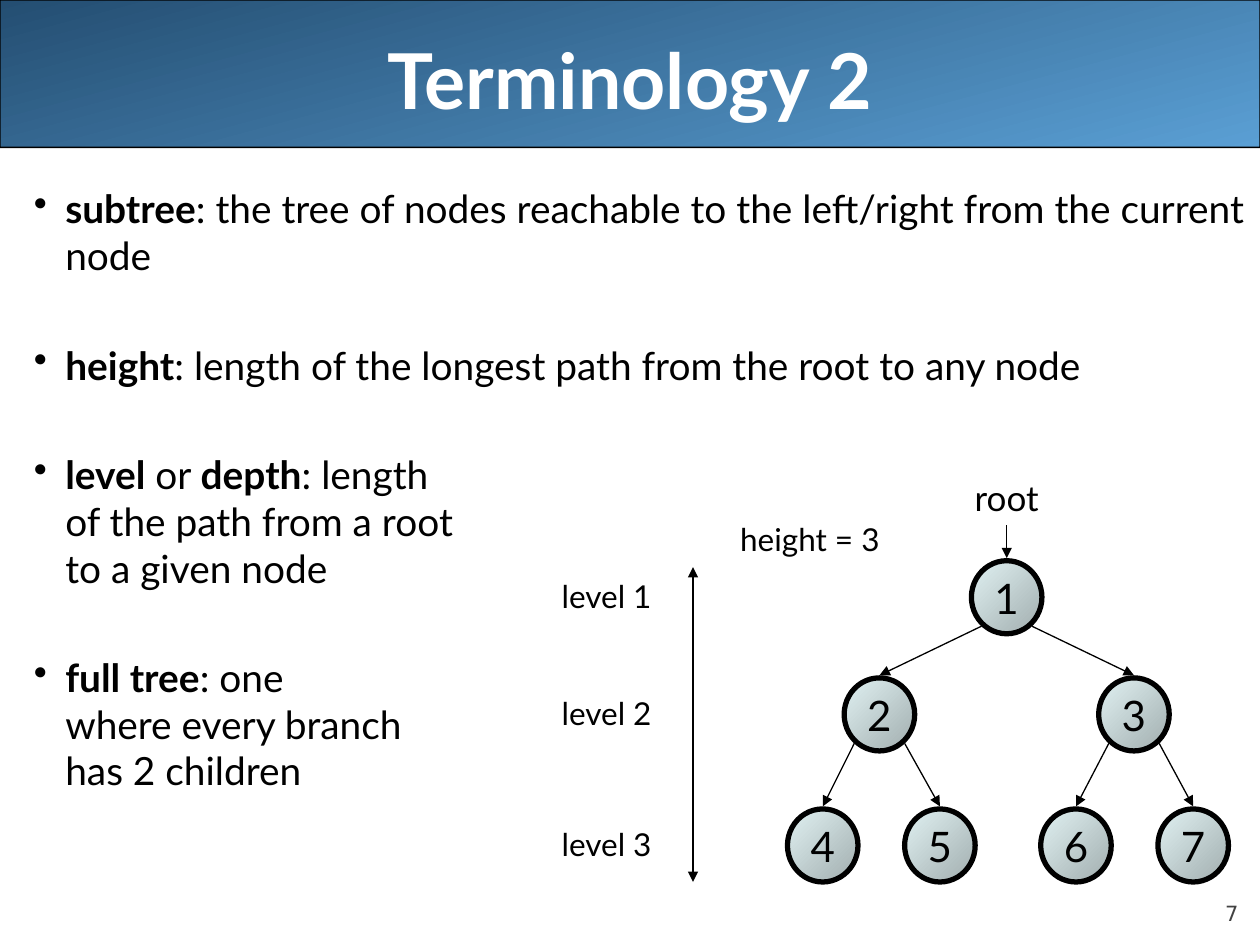
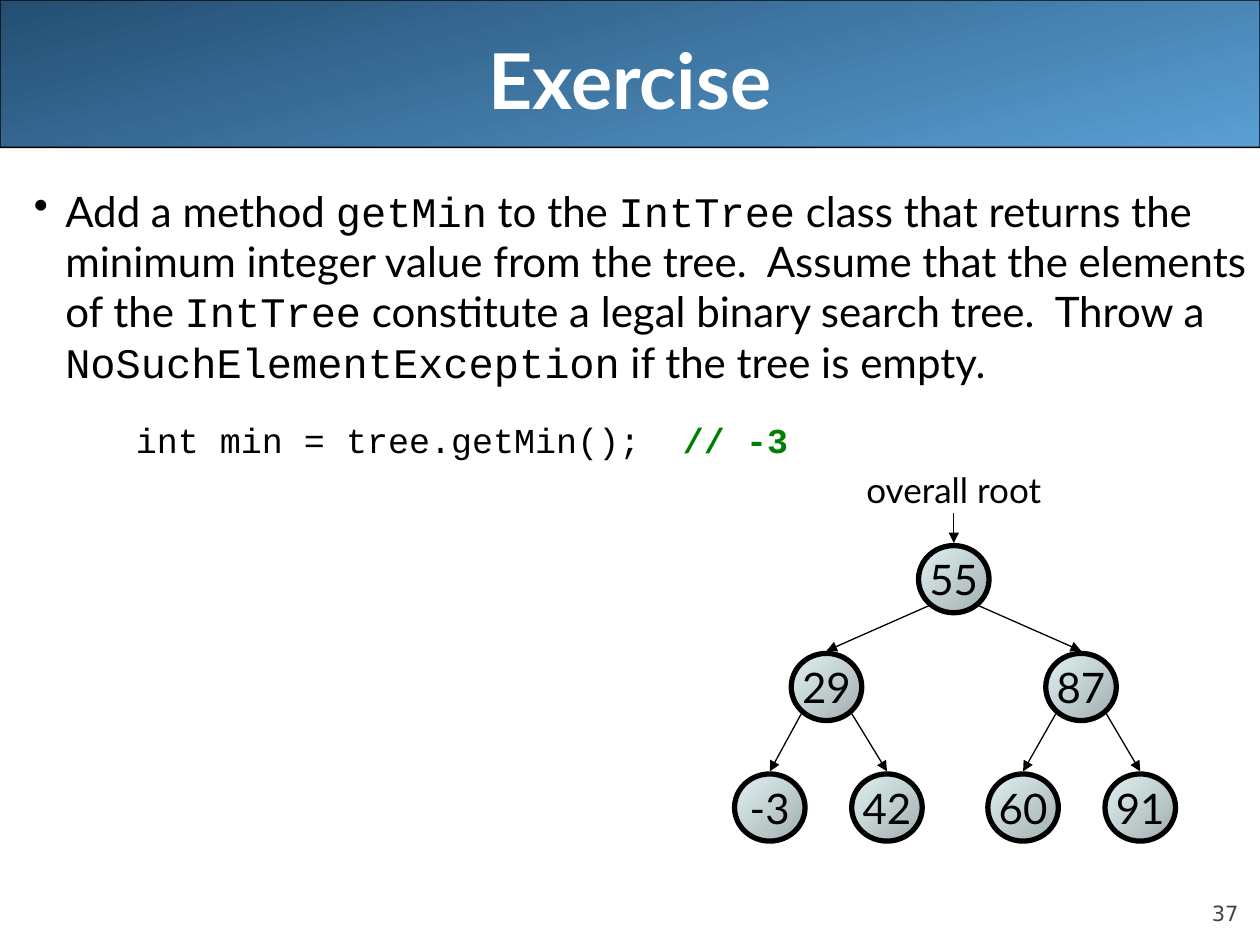
import pptx
import pptx.dml.color
import pptx.enum.shapes
import pptx.enum.text
import pptx.oxml
import pptx.oxml.ns
import pptx.util
from pptx.util import Inches

SHAPE = pptx.enum.shapes.MSO_SHAPE
ALIGN = pptx.enum.text.PP_ALIGN
ANCHOR = pptx.enum.text.MSO_ANCHOR

BLACK, WHITE, GREY, GREEN = "000000", "FFFFFF", "424242", "008000"
BAND = ("244E72", "5A9FD4")
BALL = ("A1ADAE", "E1F2F3")

# Text formats: font, size, bold, colour
TITLE = dict(name="Lato", size=44, bold=True, color=WHITE)
PAGE = dict(name="DejaVu Sans", size=12, color=GREY)
NODE = dict(name="Lato", size=24, color=BLACK)
ROOT = dict(NODE, size=20)
LEVEL = dict(NODE, size=18)
TERM = dict(NODE, size=22.2)
BOLD = dict(TERM, bold=True)
MONO = dict(NODE, name="Courier New")
CODE = dict(MONO, size=20)
NOTE = dict(CODE, bold=True, color=GREEN)

# Tree layout, from its left edge and the top of its root
WIDTH, HEIGHT = 0.56, 0.58
COLS = [1.46, 0.45, 2.47, 0, 0.93, 2.01, 2.94]
ROWS = [0, 0.93, 1.97]


def rgb(code):
    return pptx.dml.color.RGBColor.from_string(code)


def box(*sides):
    return [Inches(side) for side in sides]


def write(para, text, style):
    for i, line in enumerate(text.split("\n")):
        if i:
            para.add_line_break()
        run = para.add_run()
        run.text = line
        for key, value in style.items():
            if key == "color":
                run.font.color.rgb = rgb(value)
            else:
                setattr(run.font, key, pptx.util.Pt(value) if key == "size" else value)


def label(shapes, place, text, style, align, **frame):
    """Text box with one paragraph; frame holds text frame settings."""
    body = shapes.add_textbox(*box(*place)).text_frame
    for key, value in frame.items():
        setattr(body, key, value)
    body.paragraphs[0].alignment = align
    write(body.paragraphs[0], text, style)


def shade(shape, stops, angle, width):
    """Gradient fill with a black outline and no shadow."""
    shape.shadow.inherit = False
    shape.fill.gradient()
    shape.fill.gradient_angle = angle
    for stop, code in zip(shape.fill.gradient_stops, stops):
        stop.color.rgb = rgb(code)
    shape.line.color.rgb = rgb(BLACK)
    shape.line.width = pptx.util.Pt(width)


def arrow(shapes, start, end, ends=("tail",)):
    line = shapes.add_connector(
        pptx.enum.shapes.MSO_CONNECTOR.STRAIGHT, *box(*start, *end))
    line.line.color.rgb = rgb(BLACK)
    line.line.width = pptx.util.Pt(0.75)
    props = line._element.spPr
    for name in ends:
        tip = pptx.oxml.parse_xml(
            f'<a:{name}End {pptx.oxml.ns.nsdecls("a")} type="triangle"/>')
        props.find(pptx.oxml.ns.qn("a:ln")).append(tip)
    props.append(pptx.oxml.parse_xml(f'<a:effectLst {pptx.oxml.ns.nsdecls("a")}/>'))


def frame(deck, title, page):
    """New slide with the title band and page number."""
    shapes = deck.slides.add_slide(deck.slide_layouts[6]).shapes
    band = shapes.add_shape(SHAPE.ROUNDED_RECTANGLE, *box(0, 0, 10, 1.17))
    band.adjustments[0] = 0.001
    shade(band, BAND, 285, 0.75)
    label(shapes, (9, 6.95, 0.83, 0.4), page, PAGE, ALIGN.RIGHT,
          word_wrap=True, vertical_anchor=ANCHOR.BOTTOM, margin_left=0,
          margin_right=0, margin_top=0, margin_bottom=0)
    label(shapes, (0.5, 0, 9, 1.25), title, TITLE, ALIGN.CENTER,
          word_wrap=True, vertical_anchor=ANCHOR.MIDDLE)
    return shapes


def prose(shapes, items, gap):
    """Body text; each item is (bullet or None, runs), gap in points between."""
    body = shapes.add_textbox(*box(0.17, 1.42, 9.83, 5.67)).text_frame
    body.word_wrap = True
    for i, (mark, runs) in enumerate(items):
        para = body.add_paragraph() if i else body.paragraphs[0]
        left, first = (0.25, -0.25) if mark else (1, -0.19)
        props = para._p.get_or_add_pPr()
        props.set("marL", str(Inches(left)))
        props.set("indent", str(Inches(first)))
        if mark:
            props.append(pptx.oxml.parse_xml(
                f'<a:buChar {pptx.oxml.ns.nsdecls("a")} char="{mark}"/>'))
        if i:
            para.space_before = pptx.util.Pt(gap)
        for text, style in runs:
            write(para, text, style)


def tree(shapes, left, top, scale, name, values):
    """Seven-node binary tree in heap order; scale acts on heights."""
    group = shapes.add_group_shape().shapes
    mids = [left + col + WIDTH / 2 for col in COLS]
    tops = [top + scale * ROWS[(i + 1).bit_length() - 1] for i in range(len(COLS))]

    # Nodes
    for mid, y, value in zip(mids, tops, values):
        ball = group.add_shape(
            SHAPE.OVAL, *box(mid - WIDTH / 2, y, WIDTH, HEIGHT * scale))
        shade(ball, BALL, 135, 3)
        text = ball.text_frame
        text.word_wrap = False
        text.vertical_anchor = ANCHOR.MIDDLE
        text.paragraphs[0].alignment = ALIGN.CENTER
        write(text.paragraphs[0], value, NODE)

    # Branches: each child hangs from its parent's lower left or right
    for kid in range(1, len(COLS)):
        up = (kid - 1) // 2
        side = -0.2 if kid % 2 else 0.2
        arrow(group, (mids[up] + side, tops[up] + 0.52 * scale),
              (mids[kid], tops[kid] - 0.02))

    # Root label
    label(group, (mids[0] - 0.85, top - 0.72 * scale, 1.7, 0.44), name, ROOT,
          ALIGN.CENTER, word_wrap=False)
    arrow(group, (mids[0], top - 0.28 * scale), (mids[0], top - 0.02))


def levels(shapes, left, top):
    """Height arrow with a label for each row of the tree."""
    arrow(shapes, (left + 1.17, top + 0.05), (left + 1.17, top + 2.55), ("head", "tail"))
    label(shapes, (left + 1.38, top - 0.37, 1.37, 0.4), "height = 3", LEVEL,
          ALIGN.RIGHT, word_wrap=False)
    for i, row in enumerate(ROWS, 1):
        label(shapes, (left, top + row + 0.08, 0.94, 0.4), f"level {i}", LEVEL,
              ALIGN.RIGHT, word_wrap=False)


def terms(deck):
    shapes = frame(deck, "Terminology 2", "7")
    prose(shapes, [
        ("•", [("subtree", BOLD),
               (": the tree of nodes reachable to the left/right from the current node", TERM)]),
        ("•", [("height", BOLD),
               (": length of the longest path from the root to any node", TERM)]),
        ("•", [("level", BOLD), (" or ", TERM), ("depth", BOLD),
               (": length\nof the path from a root\nto a given node", TERM)]),
        ("•", [("full tree", BOLD),
               (": one\nwhere every branch\nhas 2 children", TERM)]),
    ], 36)
    tree(shapes, 6.25, 4.45, 1, "root", "1234567")
    levels(shapes, 4.33, 4.45)


def task(deck):
    shapes = frame(deck, "Exercise", "37")
    prose(shapes, [
        ("•", [("Add a method ", NODE), ("getMin", MONO), (" to the ", NODE),
               ("IntTree", MONO),
               (" class that returns the minimum integer value from the tree.  "
                "Assume that the elements of the ", NODE),
               ("IntTree", MONO),
               (" constitute a legal binary search tree.  Throw a ", NODE),
               ("NoSuchElementException", MONO), (" if the tree is empty.", NODE)]),
        (None, [("int min = tree.getMin();  ", CODE), ("// -3", NOTE)]),
    ], 18)
    tree(shapes, 5.83, 4.33, 0.92, "overall root",
         ["55", "29", "87", "-3", "42", "60", "91"])


def main():
    deck = pptx.Presentation()
    deck.slide_width, deck.slide_height = box(10, 7.5)
    terms(deck)
    task(deck)
    deck.save("out.pptx")


if __name__ == "__main__":
    main()
